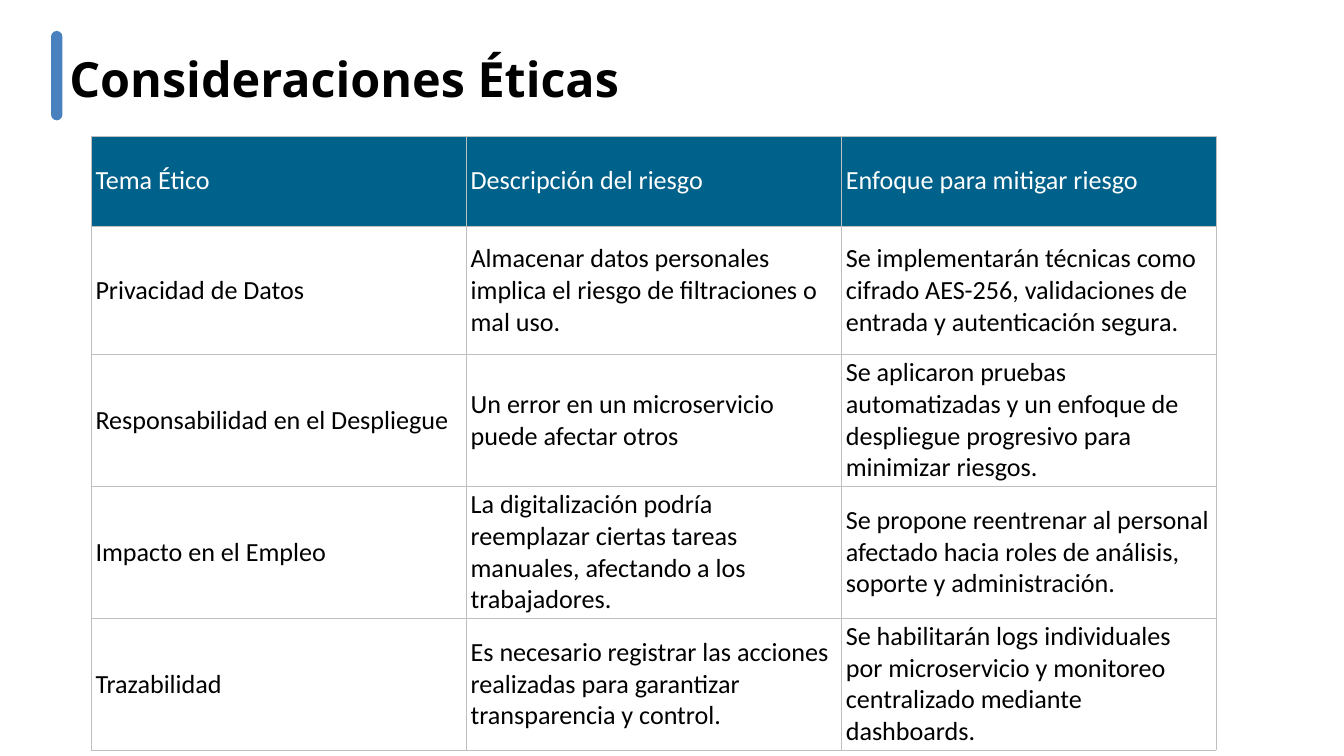
from lxml.etree import SubElement
from pptx import Presentation
from pptx.dml.color import RGBColor
from pptx.enum.shapes import MSO_SHAPE as Shape
from pptx.enum.text import MSO_ANCHOR as Anchor, MSO_AUTO_SIZE as AutoSize, PP_ALIGN as Align
from pptx.oxml.ns import qn
from pptx.util import Cm, Pt

# Content
TITLE = "Consideraciones Éticas"
ROWS = [
    ("Tema Ético", "Descripción del riesgo", "Enfoque para mitigar riesgo"),
    ("Privacidad de Datos",
     "Almacenar datos personales implica el riesgo de filtraciones o mal uso.",
     "Se implementarán técnicas como cifrado AES-256, validaciones de entrada "
     "y autenticación segura."),
    ("Responsabilidad en el Despliegue",
     "Un error en un microservicio puede afectar otros",
     "Se aplicaron pruebas automatizadas y un enfoque de despliegue progresivo "
     "para minimizar riesgos."),
    ("Impacto en el Empleo",
     "La digitalización podría reemplazar ciertas tareas manuales, afectando "
     "a los trabajadores.",
     "Se propone reentrenar al personal afectado hacia roles de análisis, "
     "soporte y administración."),
    ("Trazabilidad",
     "Es necesario registrar las acciones realizadas para garantizar "
     "transparencia y control.",
     "Se habilitarán logs individuales por microservicio y monitoreo "
     "centralizado mediante dashboards."),
]

# Style
BLACK = RGBColor(0x00, 0x00, 0x00)
WHITE = RGBColor(0xFF, 0xFF, 0xFF)
ACCENT = RGBColor(0x49, 0x81, 0xBE)
HEADER = RGBColor(0x00, 0x61, 0x8A)
BORDER = RGBColor(0xBF, 0xBF, 0xBF)
COLUMN_WIDTH = Cm(14.18)
ROW_HEIGHTS = [Cm(height) for height in (3.43, 4.83, 4.83, 3.99, 4.83)]


def add_borders(cell):
    properties = cell._tc.get_or_add_tcPr()
    for side in ("a:lnL", "a:lnR", "a:lnT", "a:lnB"):
        line = SubElement(properties, qn(side), w=str(Pt(0.48)))
        fill = SubElement(line, qn("a:solidFill"))
        SubElement(fill, qn("a:srgbClr"), val=str(BORDER))


def format_cell(cell, text, is_header):
    cell.text = text
    cell.vertical_anchor = Anchor.MIDDLE
    cell.margin_left = cell.margin_right = Cm(0.18)
    cell.margin_top = cell.margin_bottom = Cm(0.08)
    add_borders(cell)
    cell.fill.solid()
    cell.fill.fore_color.rgb = HEADER if is_header else WHITE
    font = cell.text_frame.paragraphs[0].font
    font.name, font.size, font.bold = "Calibri", Pt(28), False
    font.color.rgb = WHITE if is_header else BLACK


presentation = Presentation()
presentation.slide_width, presentation.slide_height = Cm(50.8), Cm(28.58)
slide = presentation.slides.add_slide(presentation.slide_layouts[5])

# Accent bar
bar = slide.shapes.add_shape(Shape.ROUNDED_RECTANGLE, Cm(1.93), Cm(1.17), Cm(0.43), Cm(3.38))
bar.adjustments[0] = 0.5
bar.shadow.inherit = False
bar.fill.solid()
bar.fill.fore_color.rgb = ACCENT
bar.line.fill.background()

# Title
title = slide.shapes.title
title.left, title.top, title.width, title.height = Cm(2.62), Cm(1.5), Cm(40.18), Cm(2.46)
frame = title.text_frame
frame.text = TITLE
frame.word_wrap = True
frame.auto_size = AutoSize.NONE
frame.vertical_anchor = Anchor.TOP
frame.margin_left = frame.margin_right = frame.margin_top = frame.margin_bottom = 0
paragraph = frame.paragraphs[0]
paragraph.alignment = Align.LEFT
paragraph.line_spacing = Pt(72.8)
paragraph.font.name, paragraph.font.size, paragraph.font.bold = "Open Sans", Pt(52), True
paragraph.font.color.rgb = BLACK

# Table of ethical risks
column_count = len(ROWS[0])
table = slide.shapes.add_table(len(ROWS), column_count, Cm(3.43), Cm(5.13),
                               COLUMN_WIDTH * column_count, sum(ROW_HEIGHTS)).table
table.horz_banding = False
for column in table.columns:
    column.width = COLUMN_WIDTH
for row_index, (texts, height) in enumerate(zip(ROWS, ROW_HEIGHTS)):
    table.rows[row_index].height = height
    for column_index, text in enumerate(texts):
        format_cell(table.cell(row_index, column_index), text, row_index == 0)

presentation.save("out.pptx")
